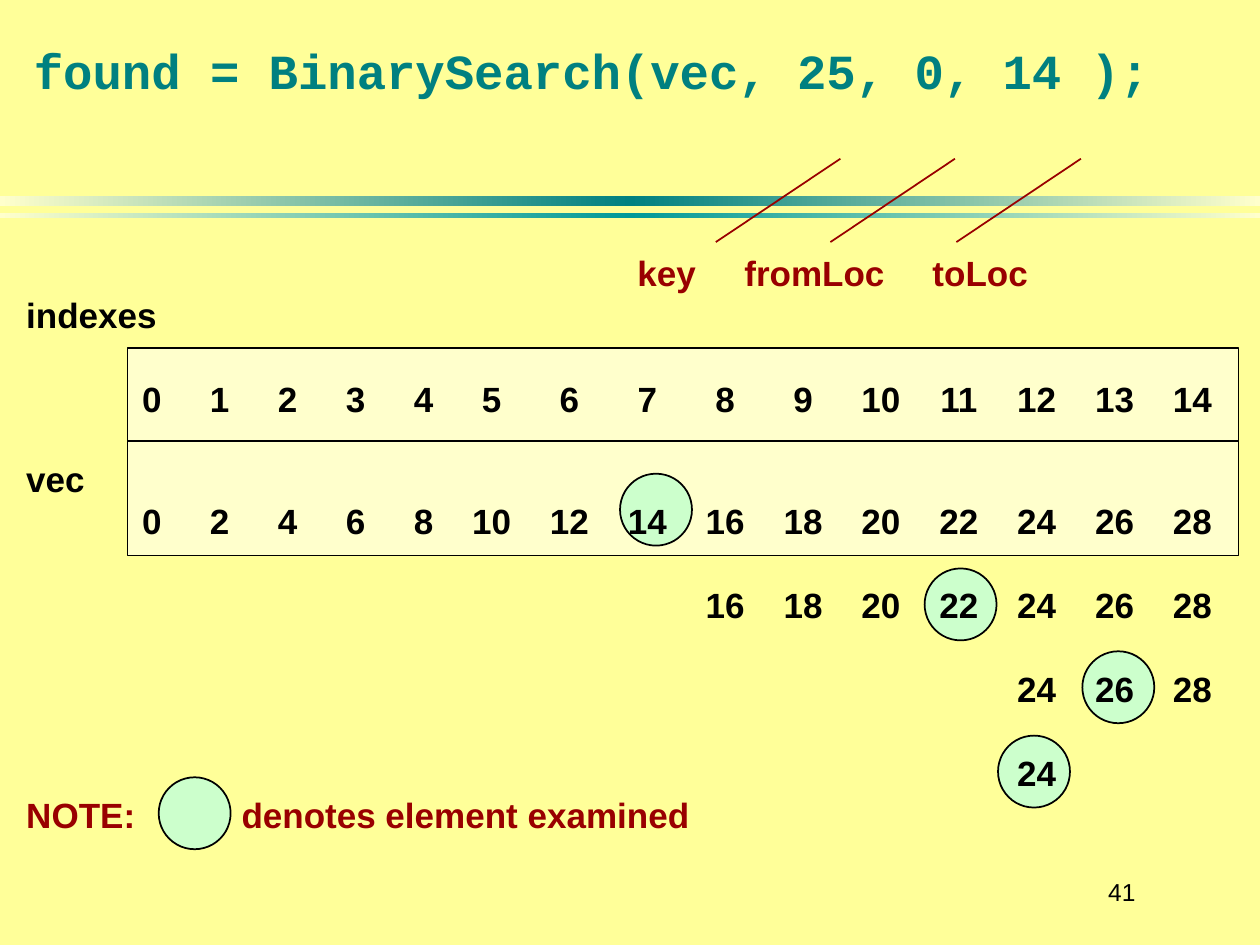
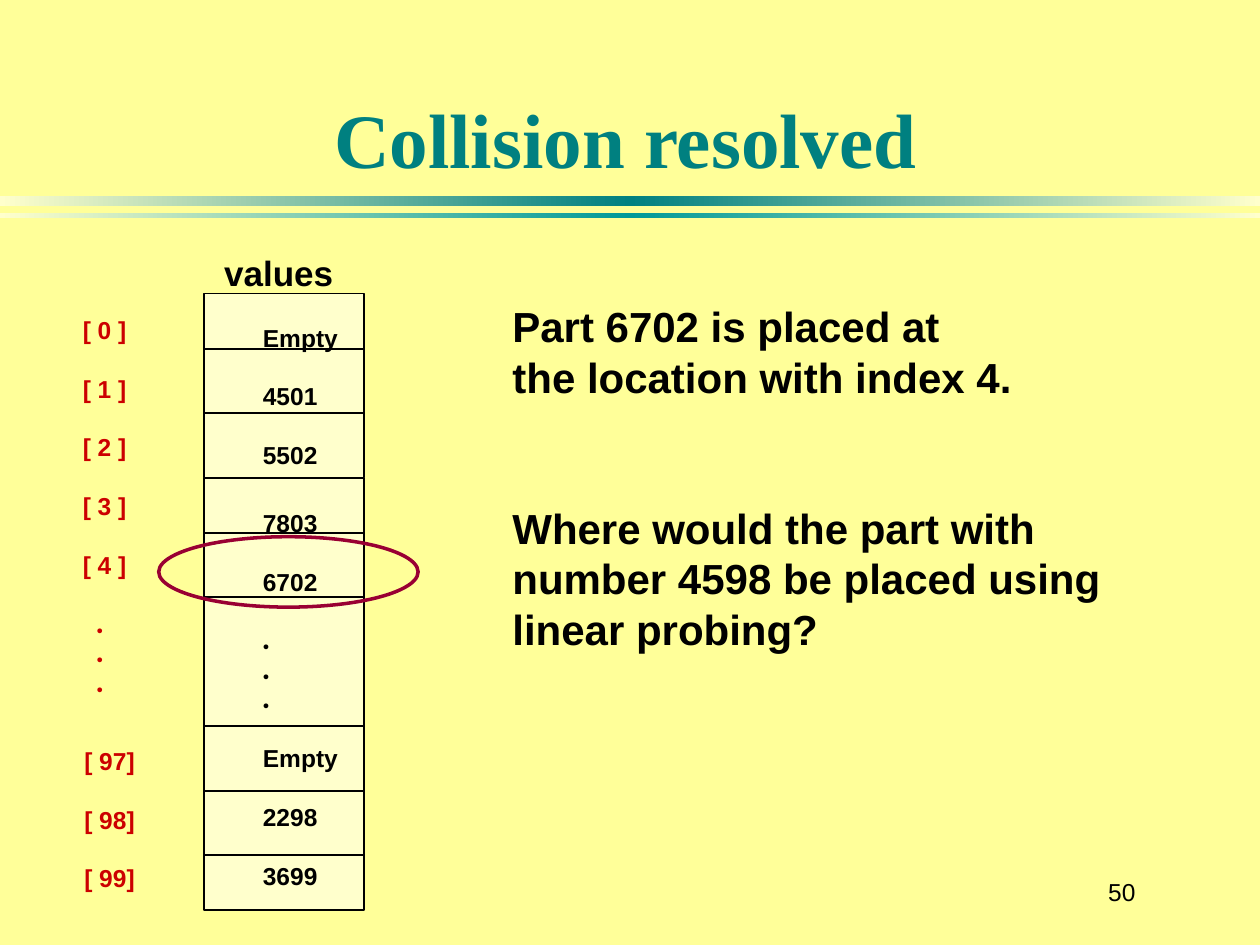
from copy import deepcopy
from dataclasses import dataclass

from lxml import etree
from pptx import Presentation
from pptx.dml.color import RGBColor
from pptx.enum.shapes import MSO_CONNECTOR, MSO_SHAPE
from pptx.enum.text import MSO_ANCHOR, MSO_AUTO_SIZE, PP_ALIGN
from pptx.oxml.ns import qn
from pptx.util import Cm, Pt

RECTANGLE = MSO_SHAPE.RECTANGLE
OVAL = MSO_SHAPE.OVAL
STRAIGHT = MSO_CONNECTOR.STRAIGHT
LEFT = PP_ALIGN.LEFT
CENTER = PP_ALIGN.CENTER
RIGHT = PP_ALIGN.RIGHT
TOP = MSO_ANCHOR.TOP
MIDDLE = MSO_ANCHOR.MIDDLE
BOTTOM = MSO_ANCHOR.BOTTOM

SANS = "Arial"
SERIF = "Times New Roman"
MONO = "Courier New"
DOT_FONT = "Montserrat"

YELLOW = "FFFF99"
CREAM = "FFFFCC"
TEAL = "008080"
LIGHT_TEAL = "009999"
BLACK = "000000"
MAROON = "990000"
RED = "CC0000"
WINE = "990033"
MINT = "CCFFCC"

TITLE_ONLY = 5
LINE_HEIGHT = 1.2
CIRCLE_SIZE = 1.45
ROW_STEP = 1.3


@dataclass
class Line:
    text: str
    gap: float = 0
    color: str = BLACK
    font: str = SANS
    tabs: tuple = ()
    tab_kind: str = "ctr"


def rgb(color):
    return RGBColor.from_string(color)


def lengths(box):
    return [Cm(value) for value in box]


def style_run(run, size, color, font, bold=True):
    run.font.name = font
    run.font.size = Pt(size)
    run.font.bold = bold
    run.font.color.rgb = rgb(color)


def add_shape(slide, kind, box, fill=None, line=None, width=1):
    shape = slide.shapes.add_shape(kind, *lengths(box))
    shape.shadow.inherit = False
    if fill:
        shape.fill.solid()
        shape.fill.fore_color.rgb = rgb(fill)
    else:
        shape.fill.background()
    if line:
        shape.line.color.rgb = rgb(line)
        shape.line.width = Pt(width)
    else:
        shape.line.fill.background()
    return shape


def add_line(slide, start, end, color=BLACK):
    connector = slide.shapes.add_connector(STRAIGHT, *lengths(start + end))
    connector.line.color.rgb = rgb(color)
    connector.line.width = Pt(1)
    etree.SubElement(connector.element.spPr, qn("a:effectLst"))


def add_tabs(paragraph, positions, kind):
    tab_list = etree.SubElement(paragraph._p.get_or_add_pPr(), qn("a:tabLst"))
    for position in positions:
        etree.SubElement(tab_list, qn("a:tab"), pos=str(Cm(position)), algn=kind)


def add_text(slide, box, size, lines):
    frame = slide.shapes.add_textbox(*lengths(box)).text_frame
    frame.word_wrap = True
    for index, line in enumerate(lines):
        paragraph = frame.add_paragraph() if index else frame.paragraphs[0]
        if line.tabs:
            add_tabs(paragraph, line.tabs, line.tab_kind)
        paragraph.line_spacing = Pt(size * LINE_HEIGHT)
        paragraph.space_before = Pt(size * LINE_HEIGHT * line.gap)
        run = paragraph.add_run()
        run.text = line.text
        style_run(run, size, line.color, line.font)


def add_page_number(slide, number):
    frame = slide.shapes.add_textbox(*lengths((21.44, 17.35, 1.7, 1.27))).text_frame
    frame.word_wrap = True
    frame.vertical_anchor = MIDDLE
    paragraph = frame.paragraphs[0]
    paragraph.alignment = RIGHT
    run = paragraph.add_run()
    run.text = number
    style_run(run, 14, BLACK, SANS, bold=False)


def set_title(slide, text, box, size, font, alignment, anchor):
    title = slide.shapes.title
    title.left, title.top, title.width, title.height = lengths(box)
    frame = title.text_frame
    frame.auto_size = MSO_AUTO_SIZE.NONE
    frame.word_wrap = True
    frame.vertical_anchor = anchor
    paragraph = frame.paragraphs[0]
    paragraph.alignment = alignment
    run = paragraph.add_run()
    run.text = text
    style_run(run, size, TEAL, font)


def add_band(slide, master, top, height, color):
    band = add_shape(slide, RECTANGLE, (0, top, 25.4, height), CREAM)
    fill = band.fill
    fill.gradient()
    fill.gradient_angle = 0
    for stop in fill.gradient_stops:
        stop.color.rgb = rgb(CREAM)
    stop_list = band.element.spPr.find(qn("a:gradFill")).find(qn("a:gsLst"))
    stop_list.insert(1, deepcopy(stop_list[0]))
    middle = fill.gradient_stops[1]
    middle.position = 0.5
    middle.color.rgb = rgb(color)
    band.element.nvSpPr.cNvPr.set("id", str(100 + len(master.shapes)))
    master.shapes.element.append(band.element)


def style_master(presentation, slide):
    master = presentation.slide_master
    master.background.fill.solid()
    master.background.fill.fore_color.rgb = rgb(YELLOW)
    add_band(slide, master, 3.96, 0.2, TEAL)
    add_band(slide, master, 4.29, 0.1, LIGHT_TEAL)


def column_center(column):
    return 2.53 + 1.37 * min(column, 5) + 1.57 * max(column - 5, 0)


def number_row(numbers, first_column=0, gap=1):
    columns = range(first_column, first_column + len(numbers))
    text = "".join(f"\t{number}" for number in numbers)
    return Line(text, gap, tabs=tuple(column_center(column) for column in columns))


def build_search_slide(slide):
    set_title(slide, "found = BinarySearch(vec, 25, 0, 14 );",
              (0.43, 0.86, 23.7, 1.27), 28, MONO, LEFT, BOTTOM)
    add_shape(slide, RECTANGLE, (2.57, 7.01, 22.4, 4.19), CREAM, BLACK)
    add_line(slide, (2.57, 8.89), (24.97, 8.89))
    for argument_x in (16.94, 19.25, 21.79):
        add_line(slide, (argument_x, 3.2), (argument_x - 2.51, 4.88), MAROON)

    legend = (3.2, 15.67)
    examined = ((12.5, 9.55), (18.64, 11.46), (21.82, 13.13), (20.12, 14.83))
    for left, top in (legend, *examined):
        add_shape(slide, OVAL, (left, top, CIRCLE_SIZE, CIRCLE_SIZE), MINT, BLACK)

    values = range(0, 30, 2)
    add_text(slide, (0.28, 4.95, 24.87, 12.04), 20, [
        Line("\tkey\tfromLoc\ttoLoc", color=MAROON, tabs=(12.91, 15.89, 19.23)),
        Line("indexes"),
        number_row(range(15)),
        Line("vec", 0.9),
        number_row(values, gap=0),
        number_row(values[8:], 8),
        number_row(values[12:], 12),
        number_row(values[12:13], 12),
        Line("NOTE:\tdenotes element examined", color=MAROON,
             tabs=(4.34,), tab_kind="l"),
    ])
    add_page_number(slide, "41")


def spaced_lines(texts, color=BLACK):
    return [Line(text, 1 if index else 0, color) for index, text in enumerate(texts)]


def dot_lines(text, color=BLACK, tabs=()):
    return [Line(text, gap, color, DOT_FONT, tabs, "l") for gap in (1, 0, 0)]


def build_collision_slide(slide):
    set_title(slide, "Collision resolved", (0.79, 0.66, 23.65, 3.18),
              44, SERIF, CENTER, BOTTOM)
    add_text(slide, (10.08, 5.94, 12.8, 8.38), 24, [
        Line("Part 6702 is placed at"),
        Line("the location with index 4."),
        Line("Where would the part with", 2),
        Line("number 4598 be placed using"),
        Line("linear probing?"),
    ])

    left, right = 4.11, 7.34
    for top, height in ((5.92, 3.71), (9.63, 8.71)):
        add_shape(slide, RECTANGLE, (left, top, right - left, height), CREAM, BLACK)
    for first_y, rows in ((7.03, (0, 1, 2)), (10.74, (0, 1, 3, 4, 5))):
        for row in rows:
            y = first_y + ROW_STEP * row
            add_line(slide, (left, y), (right, y))

    add_text(slide, (4.27, 4.95, 3, 1.09), 20, [Line("values")])
    add_text(slide, (1.42, 6.22, 1.6, 8.56), 14,
             spaced_lines([f"[ {index} ]" for index in range(5)], RED)
             + dot_lines("\t.", RED, (0.28,)))
    add_text(slide, (1.45, 14.91, 1.7, 3.23), 14,
             spaced_lines([f"[ {index}]" for index in range(97, 100)], RED))
    add_text(slide, (5.05, 6.38, 2.3, 3.81), 14,
             spaced_lines(["Empty", "4501", "5502"]))
    last_values = spaced_lines(["Empty", "2298", "3699"])
    last_values[0].gap = 1
    add_text(slide, (5.05, 10.11, 2.3, 8.56), 14,
             spaced_lines(["7803", "6702"]) + dot_lines(".") + last_values)
    add_shape(slide, OVAL, (3.2, 10.82, 5.23, 1.42), line=WINE, width=2)
    add_page_number(slide, "50")


def main():
    presentation = Presentation()
    presentation.slide_width = Cm(25.4)
    presentation.slide_height = Cm(19.05)
    layout = presentation.slide_layouts[TITLE_ONLY]
    search_slide = presentation.slides.add_slide(layout)
    style_master(presentation, search_slide)
    build_search_slide(search_slide)
    build_collision_slide(presentation.slides.add_slide(layout))
    presentation.save("out.pptx")


if __name__ == "__main__":
    main()
